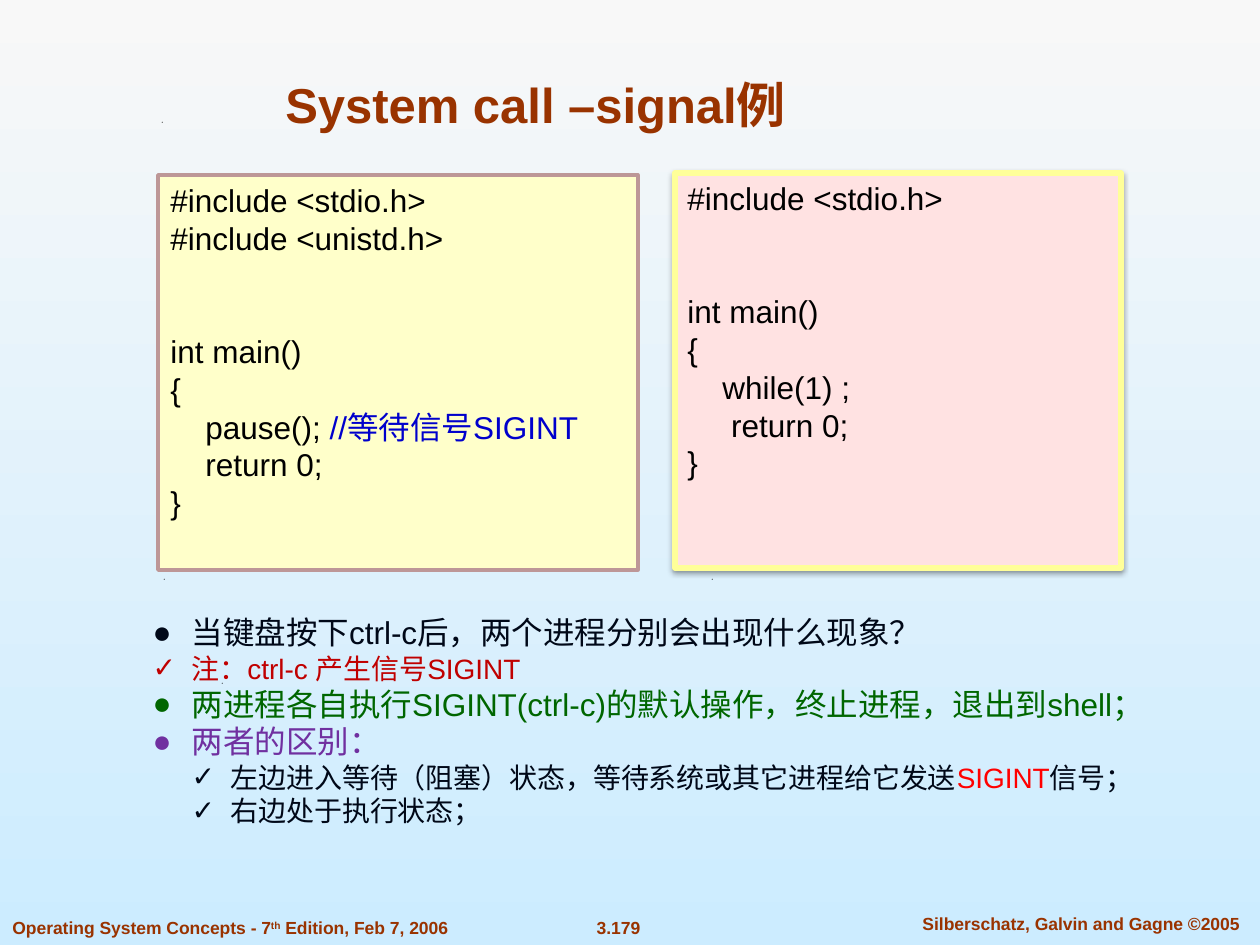
from dataclasses import dataclass

from lxml.etree import SubElement
from pptx import Presentation
from pptx.dml.color import RGBColor
from pptx.enum.shapes import MSO_SHAPE as Shape
from pptx.enum.text import MSO_ANCHOR as Anchor, MSO_AUTO_SIZE as AutoSize, PP_ALIGN as Align
from pptx.oxml.ns import qn
from pptx.util import Emu, Pt

SCALE = 914400 / 126
FONT = "Arial"
BROWN, BLACK, INK = "993300", "000000", "000818"
CODE_GAP = 43


@dataclass
class Span:
    text: str
    color: str
    size: int
    bold: bool = False
    raised: bool = False


@dataclass
class Line:
    spans: list[Span]
    gap: int = 0
    align: Align = Align.LEFT
    bullet: str = ""
    level: int = 0


@dataclass
class Area:
    left: int
    top: int
    width: int
    height: int

    def emu(self) -> list[Emu]:
        return [px(n) for n in (self.left, self.top, self.width, self.height)]


@dataclass
class CodeBox:
    area: Area
    fill: str
    border: str
    border_width: int
    lines: list[Line]
    shadow: bool = False


def px(length: int) -> Emu:
    return Emu(round(length * SCALE))


def rgb(value: str) -> RGBColor:
    return RGBColor.from_string(value)


def add_bullet(para, mark: str, level: int) -> None:
    props = para._p.get_or_add_pPr()
    props.set("marL", str(px(39 * (level + 1))))
    props.set("indent", str(px(-39)))
    SubElement(props, qn("a:buFont"), typeface=FONT)
    SubElement(props, qn("a:buChar"), char=mark)


def write(frame, lines: list[Line], anchor: Anchor = Anchor.TOP) -> None:
    frame.word_wrap = True
    frame.auto_size = AutoSize.NONE
    frame.vertical_anchor = anchor
    for index, line in enumerate(lines):
        para = frame.add_paragraph() if index else frame.paragraphs[0]
        para.alignment = line.align
        para.space_before = Pt(line.gap)
        if line.bullet:
            add_bullet(para, line.bullet, line.level)
        for item in line.spans:
            span = para.add_run()
            span.text = item.text
            span.font.name = FONT
            span.font.size = Pt(item.size)
            span.font.bold = item.bold
            span.font.color.rgb = rgb(item.color)
            if item.raised:
                span._r.get_or_add_rPr().set("baseline", "30000")


def add_shadow(box) -> None:
    effects = box._element.spPr.find(qn("a:effectLst"))
    shadow = SubElement(effects, qn("a:outerShdw"), blurRad=str(Pt(3.1)),
                        dist=str(Pt(1.6)), dir="5400000", rotWithShape="0")
    tint = SubElement(shadow, qn("a:srgbClr"), val=BLACK)
    SubElement(tint, qn("a:alpha"), val="38000")


def draw_code(page, code: CodeBox) -> None:
    box = page.shapes.add_shape(Shape.RECTANGLE, *code.area.emu())
    box.shadow.inherit = False
    box.fill.solid()
    box.fill.fore_color.rgb = rgb(code.fill)
    box.line.color.rgb = rgb(code.border)
    box.line.width = Pt(code.border_width)
    if code.shadow:
        add_shadow(box)
    write(box.text_frame, code.lines)


def draw_footer(page, area: Area, line: Line) -> None:
    box = page.shapes.add_textbox(*area.emu())
    write(box.text_frame, [line])


def draw_speck(page, left: int, top: int) -> None:
    builder = page.shapes.build_freeform(left, top, scale=SCALE)
    builder.add_line_segments([(left + 1, top), (left, top + 1)], close=True)
    speck = builder.convert_to_shape()
    speck.shadow.inherit = False
    speck.fill.solid()
    speck.fill.fore_color.rgb = rgb(BLACK)
    speck.line.fill.background()


def fill_placeholder(holder, area: Area, lines: list[Line], anchor: Anchor) -> None:
    holder.left, holder.top, holder.width, holder.height = area.emu()
    write(holder.text_frame, lines, anchor)


def code_line(text: str, gap: int = 0) -> Line:
    return Line([Span(text, BLACK, 18)], gap)


def footer_span(text: str, raised: bool = False) -> Span:
    return Span(text, BROWN, 10, True, raised)


CODE_BOXES = [
    CodeBox(Area(158, 175, 480, 395), "FFFFCA", "BD9797", 2, [
        code_line("#include <stdio.h>"),
        code_line("#include <unistd.h>"),
        code_line("int main()", CODE_GAP),
        code_line("{"),
        Line([Span("    pause(); ", BLACK, 18), Span("//等待信号SIGINT", "0000CC", 18)]),
        code_line("    return 0;"),
        code_line("}"),
    ]),
    CodeBox(Area(675, 173, 446, 395), "FFE2E2", "FFFF99", 3, [
        code_line("#include <stdio.h>"),
        code_line("int main()", CODE_GAP),
        code_line("{"),
        code_line("    while(1) ;"),
        code_line("     return 0;"),
        code_line("}"),
    ], shadow=True),
]
NOTES = [
    Line([Span("当键盘按下ctrl-c后，两个进程分别会出现什么现象？", INK, 18)], bullet="●"),
    Line([Span("注：ctrl-c 产生信号SIGINT", "C00000", 16)], bullet="✓"),
    Line([Span("两进程各自执行SIGINT(ctrl-c)的默认操作，终止进程，退出到shell；", "006600", 18)], bullet="●"),
    Line([Span("两者的区别：", "7030A0", 18)], bullet="●"),
    Line([
        Span("左边进入等待（阻塞）状态，等待系统或其它进程给它发送", INK, 16),
        Span("SIGINT", "FF0000", 16),
        Span("信号；", INK, 16),
    ], bullet="✓", level=1),
    Line([Span("右边处于执行状态；", INK, 16)], bullet="✓", level=1),
]
FOOTERS = [
    (Area(578, 911, 81, 34), Line([footer_span("3.179")], align=Align.CENTER)),
    (Area(894, 907, 374, 34),
     Line([footer_span("Silberschatz, Galvin and Gagne ©2005")], align=Align.CENTER)),
    (Area(0, 911, 515, 34), Line([
        footer_span("Operating System Concepts - 7"),
        footer_span("th", raised=True),
        footer_span(" Edition, Feb 7, 2006"),
    ])),
]
SPECKS = [(222, 683), (164, 579), (712, 579), (162, 122)]


def main() -> None:
    deck = Presentation()
    deck.slide_width, deck.slide_height = px(1260), px(945)
    page = deck.slides.add_slide(deck.slide_layouts[1])
    backdrop = page.background.fill
    backdrop.gradient()
    backdrop.gradient_angle = 270
    for stop, color in zip(backdrop.gradient_stops, ("F8F8F8", "CCECFF")):
        stop.color.rgb = rgb(color)
    for left, top in SPECKS:
        draw_speck(page, left, top)
    for area, line in FOOTERS:
        draw_footer(page, area, line)
    for code in CODE_BOXES:
        draw_code(page, code)
    title = Line([Span("System call –signal例", BROWN, 28, True)], align=Align.CENTER)
    fill_placeholder(page.shapes.title, Area(140, 68, 791, 72), [title], Anchor.BOTTOM)
    fill_placeholder(page.placeholders[1], Area(140, 607, 1071, 229), NOTES, Anchor.TOP)
    deck.save("out.pptx")


if __name__ == "__main__":
    main()
